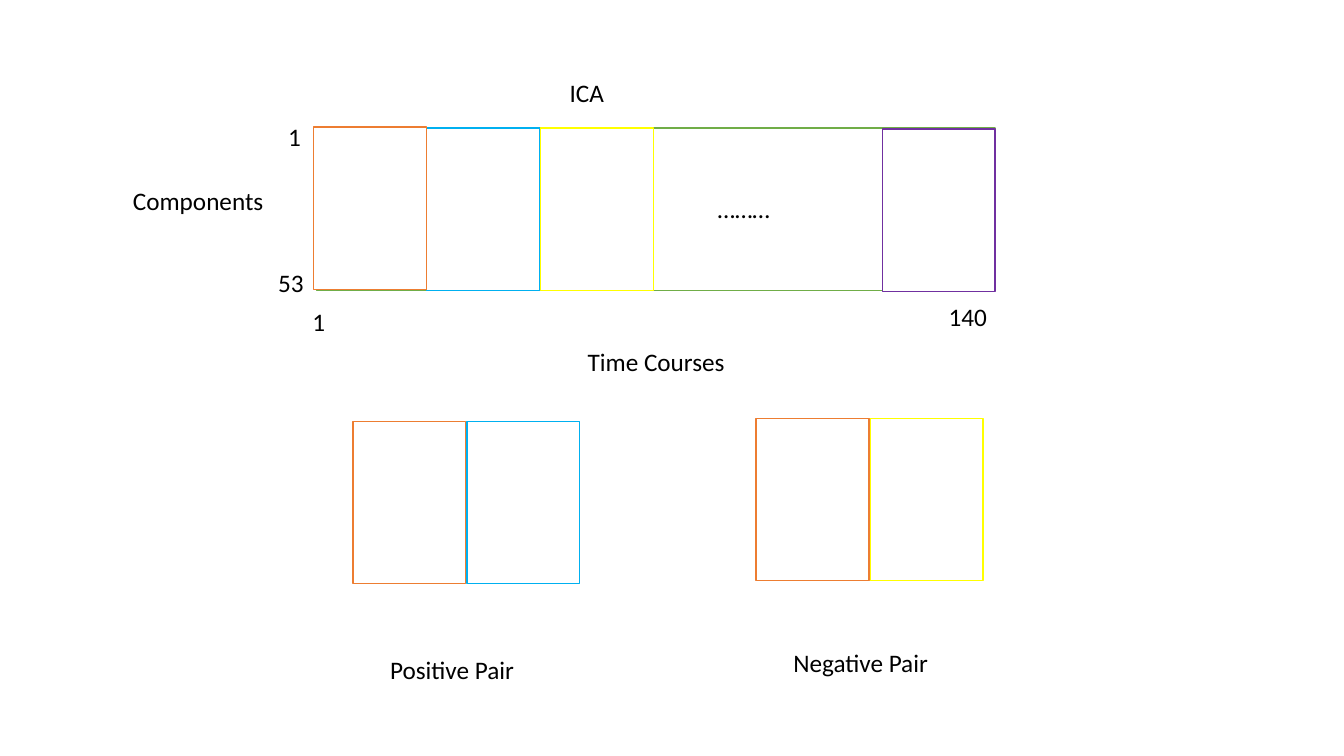
"""Builds the slide on ICA time-course windows and their positive and negative pairs."""
from pptx import Presentation
from pptx.dml.color import RGBColor
from pptx.enum.shapes import MSO_SHAPE
from pptx.enum.text import MSO_ANCHOR, MSO_AUTO_SIZE, PP_ALIGN
from pptx.util import Inches, Pt

RECTANGLE = MSO_SHAPE.RECTANGLE
TOP = MSO_ANCHOR.TOP
LEFT = PP_ALIGN.LEFT
FIT_SHAPE = MSO_AUTO_SIZE.SHAPE_TO_FIT_TEXT

ORANGE, BLUE, YELLOW = "ED7D31", "00B0F0", "FFFF00"
GREEN, PURPLE = "70AD47", "7030A0"
WINDOW_WIDTH, WINDOW_HEIGHT = 1.12, 1.61


def color(hex_value):
    return RGBColor.from_string(hex_value)


class Diagram:
    font = "Calibri"
    size = 18
    ink = "000000"
    paper = "FFFFFF"

    def __init__(self, slide):
        self.slide = slide

    def set_text(self, holder, text):
        frame = holder.text_frame
        frame.text = text
        frame.word_wrap = True
        frame.auto_size = FIT_SHAPE
        frame.vertical_anchor = TOP
        paragraph = frame.paragraphs[0]
        paragraph.alignment = LEFT
        for run in paragraph.runs:
            run.font.name = self.font
            run.font.size = Pt(self.size)
            run.font.color.rgb = color(self.ink)

    def title(self, text, left, top, width, height=0.4):
        heading = self.slide.shapes.title
        heading.left, heading.top = Inches(left), Inches(top)
        heading.width, heading.height = Inches(width), Inches(height)
        self.set_text(heading, text)

    def label(self, text, left, top, width=1.88, height=0.4):
        box = self.slide.shapes.add_textbox(
            Inches(left), Inches(top), Inches(width), Inches(height))
        self.set_text(box, text)

    def window(self, outline, left, top, width=WINDOW_WIDTH):
        frame = self.slide.shapes.add_shape(
            RECTANGLE, Inches(left), Inches(top), Inches(width), Inches(WINDOW_HEIGHT))
        frame.shadow.inherit = False
        frame.fill.solid()
        frame.fill.fore_color.rgb = color(self.paper)
        frame.line.color.rgb = color(outline)
        frame.line.width = Pt(1)

    def pair(self, caption, second_outline, left, top, caption_top):
        self.window(second_outline, left + 1.13, top)
        self.window(ORANGE, left, top)
        self.label(caption, left + 0.27, caption_top, 2.22)


def main():
    presentation = Presentation()
    presentation.slide_width = Inches(13.33)
    presentation.slide_height = Inches(7.5)
    diagram = Diagram(presentation.slides.add_slide(presentation.slide_layouts[5]))

    diagram.title("ICA", 5.55, 0.72, 1.88)
    diagram.window(GREEN, 3.14, 1.27, 6.73)
    for outline, left, top in [
        (BLUE, 4.23, 1.27),
        (ORANGE, 3.11, 1.26),
        (YELLOW, 5.36, 1.27),
        (PURPLE, 8.75, 1.28),
    ]:
        diagram.window(outline, left, top)

    diagram.label("………", 7.02, 1.87, 1.34)
    for axis_text, left, top in [
        ("Components", 1.22, 1.79),
        ("Time Courses", 5.73, 3.39),
        ("1", 2.76, 1.15),
        ("53", 2.66, 2.6),
        ("1", 3, 2.99),
        ("140", 9.31, 2.94),
    ]:
        diagram.label(axis_text, left, top)

    diagram.pair("Positive Pair", BLUE, 3.5, 4.18, 6.44)
    diagram.pair("Negative Pair", YELLOW, 7.5, 4.15, 6.37)
    presentation.save("out.pptx")


if __name__ == "__main__":
    main()
